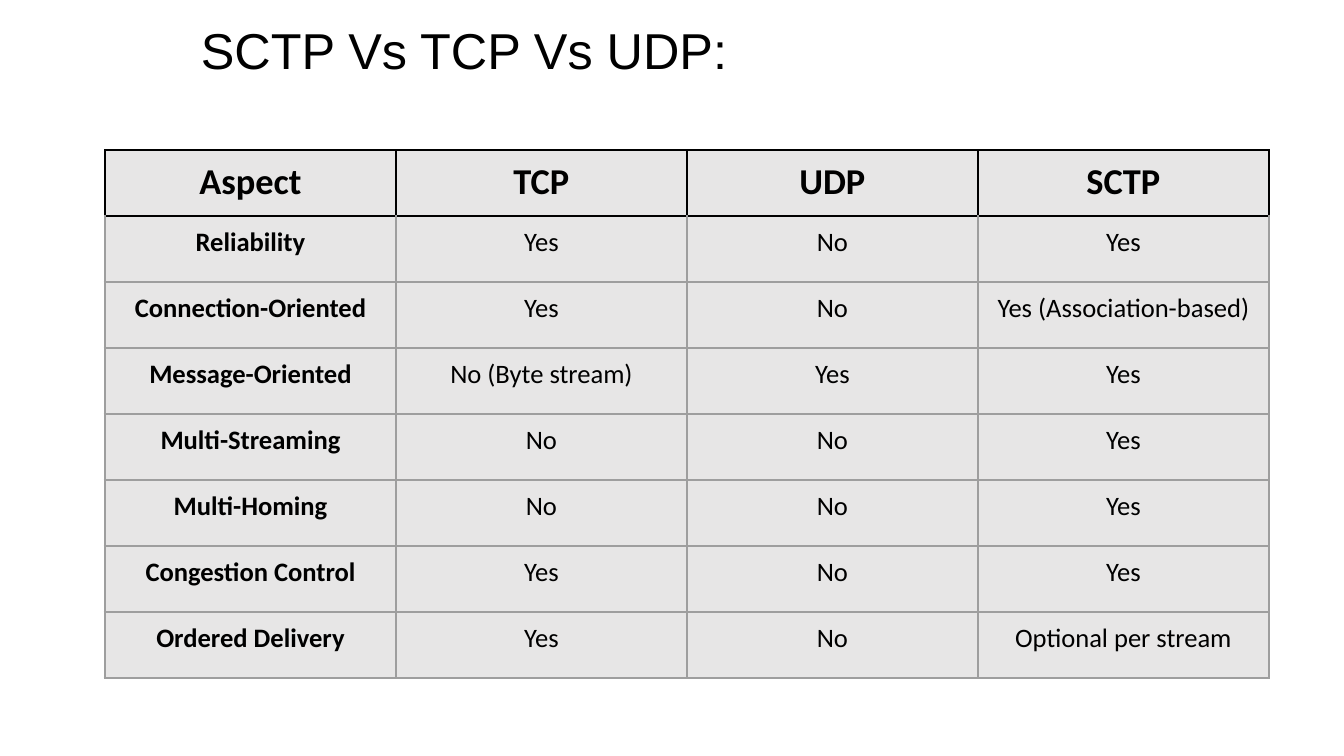
import pptx
import pptx.dml.color
import pptx.enum.text
import pptx.oxml
import pptx.oxml.ns
import pptx.util

EMU_PER_PX = 914400 / 100.8
BLACK = pptx.dml.color.RGBColor(0x00, 0x00, 0x00)
BORDER_GRAY = pptx.dml.color.RGBColor(0x9E, 0x9E, 0x9E)
CELL_GRAY = pptx.dml.color.RGBColor(0xE7, 0xE6, 0xE6)

COLUMN_WIDTH, ROW_HEIGHT = 291, 66
CELL_MARGIN = 10
ROWS = [
    ["Aspect", "TCP", "UDP", "SCTP"],
    ["Reliability", "Yes", "No", "Yes"],
    ["Connection-Oriented", "Yes", "No", "Yes (Association-based)"],
    ["Message-Oriented", "No (Byte stream)", "Yes", "Yes"],
    ["Multi-Streaming", "No", "No", "Yes"],
    ["Multi-Homing", "No", "No", "Yes"],
    ["Congestion Control", "Yes", "No", "Yes"],
    ["Ordered Delivery", "Yes", "No", "Optional per stream"],
]


def px(length):
    """Turn pixels into EMU."""
    return pptx.util.Emu(round(length * EMU_PER_PX))


def add_border(cell, side, color, points):
    """Draw one cell edge; side is L, R, T or B, called in that order."""
    cell._tc.get_or_add_tcPr().append(pptx.oxml.parse_xml(
        f'<a:ln{side} {pptx.oxml.ns.nsdecls("a")} w="{pptx.util.Pt(points)}">'
        f'<a:solidFill><a:srgbClr val="{color}"/></a:solidFill></a:ln{side}>'
    ))


presentation = pptx.Presentation()
presentation.slide_width = px(1344)
presentation.slide_height = px(756)
slide = presentation.slides.add_slide(presentation.slide_layouts[6])

title = slide.shapes.add_textbox(px(191), px(14), px(1125), px(72))
title.text_frame.word_wrap = True
title.text_frame.text = "SCTP Vs TCP Vs UDP:"
title_font = title.text_frame.paragraphs[0].runs[0].font
title_font.name = "Arial"
title_font.size = pptx.util.Pt(36)
title_font.color.rgb = BLACK

table = slide.shapes.add_table(
    len(ROWS), len(ROWS[0]), px(105), px(150),
    px(COLUMN_WIDTH * len(ROWS[0])), px(ROW_HEIGHT * len(ROWS)),
).table
table.first_row = False
table.horz_banding = False
for column in table.columns:
    column.width = px(COLUMN_WIDTH)

for row_index, labels in enumerate(ROWS):
    table.rows[row_index].height = px(ROW_HEIGHT)
    is_header = row_index == 0
    for column_index, label in enumerate(labels):
        cell = table.cell(row_index, column_index)
        cell.margin_left = cell.margin_right = px(CELL_MARGIN)
        cell.margin_top = cell.margin_bottom = px(CELL_MARGIN)

        for side in "LRTB":
            below_header = row_index == 1 and side == "T"
            color = BLACK if is_header or below_header else BORDER_GRAY
            points = 1.5 if is_header and side != "B" else 2.25
            add_border(cell, side, color, points)
        cell.fill.solid()
        cell.fill.fore_color.rgb = CELL_GRAY

        cell.text_frame.text = label
        paragraph = cell.text_frame.paragraphs[0]
        paragraph.alignment = pptx.enum.text.PP_ALIGN.CENTER
        font = paragraph.runs[0].font
        font.name = "Calibri"
        font.size = pptx.util.Pt(26 if is_header else 19)
        font.bold = is_header or column_index == 0
        font.color.rgb = BLACK

presentation.save("out.pptx")
